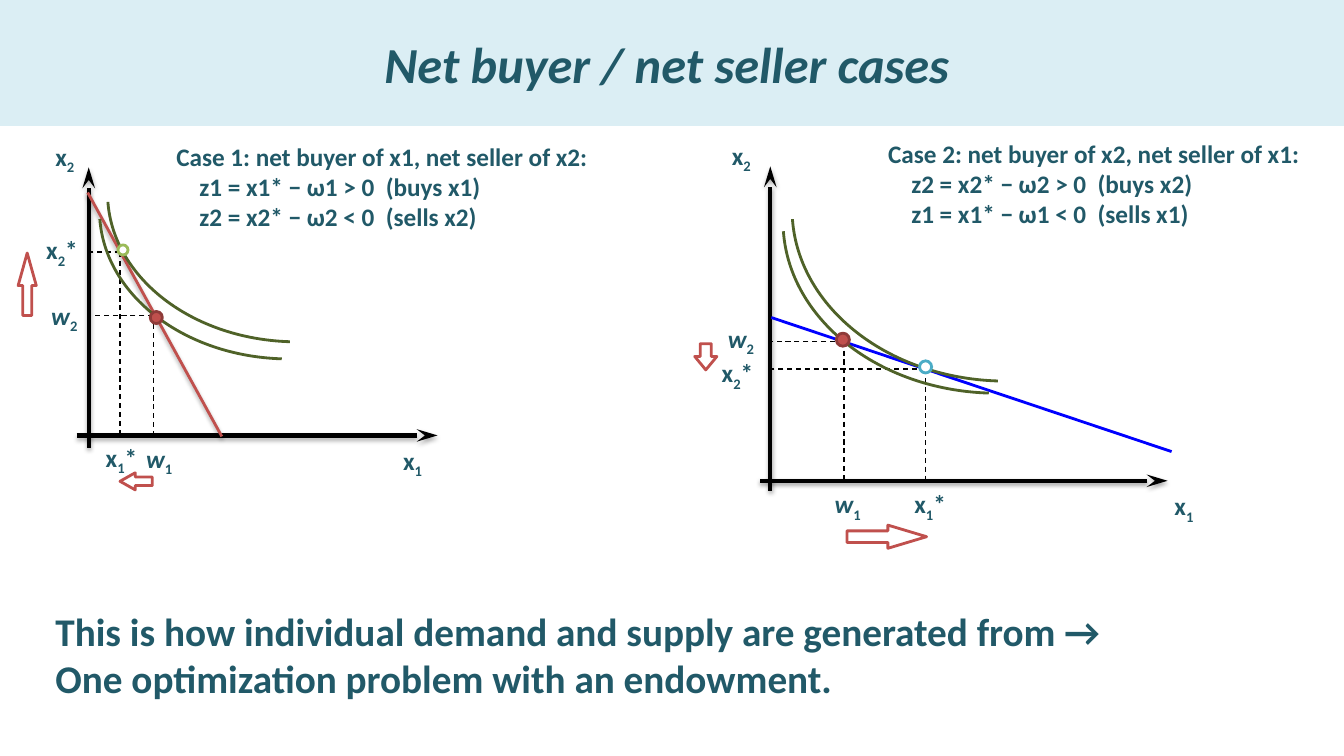
from lxml import etree
from pptx import Presentation
from pptx.dml.color import RGBColor
from pptx.enum.dml import MSO_LINE
from pptx.enum.shapes import MSO_CONNECTOR, MSO_SHAPE as SHAPE
from pptx.enum.text import MSO_ANCHOR, MSO_AUTO_SIZE, PP_ALIGN
from pptx.oxml import parse_xml
from pptx.oxml.ns import nsdecls, qn
from pptx.util import Inches, Pt

rgb = RGBColor.from_string
TEAL, RED, DARK_RED, OLIVE = "215968", "C0504D", "8E3B39", "4F6228"
WHITE, BLACK = "FFFFFF", "000000"
SHADOW = (
    f'<a:effectLst {nsdecls("a")}><a:outerShdw blurRad="40000" dist="23000" dir="5400000" rotWithShape="0">'
    '<a:srgbClr val="000000"><a:alpha val="35000"/></a:srgbClr></a:outerShdw></a:effectLst>'
)
# Start, two control points and end of a curve, as shares of its width and height
CURVE_SHARES = [(0, 0.05), (0.03, 0.57), (0.45, 0.98), (0.97, 1)]
LABEL_WIDTHS = {"x": 0.4, "w": 0.48, "x*": 0.53}


def draw_line(start, end, color, weight, dashed=False, arrow=False, shadow=False):
    """Draw a straight line between two (x, y) points given in inches."""
    line = slide.shapes.add_connector(MSO_CONNECTOR.STRAIGHT, *map(Inches, start + end))
    line.line.color.rgb = rgb(color)
    line.line.width = Pt(weight)
    if dashed:
        line.line.dash_style = MSO_LINE.DASH
    properties = line._element.spPr
    if arrow:
        etree.SubElement(properties.find(qn("a:ln")), qn("a:tailEnd"), type="stealth", w="med", len="lg")
    if shadow:
        properties.append(parse_xml(SHADOW))
    else:
        etree.SubElement(properties, qn("a:effectLst"))


def add_run(paragraph, text, size, italic=False, subscript=False):
    run = paragraph.add_run()
    run.text = text
    font = run.font
    font.name, font.size, font.bold, font.italic = "Calibri", Pt(size), True, italic
    font.color.rgb = rgb(TEAL)
    if subscript:
        font._element.set("baseline", "-25000")


cases = [
    dict(
        origin=(0.88, 4.32), top=1.66, right=4.34, overshoot=0.12,
        budget=((0.87, 1.91), (2.2, 4.33), RED, True),
        guides=[(1.52, 3.13), (1.19, 2.5)],
        curves=[(0.99, 2.1), (1.07, 1.93)], curve_size=(1.86, 1.46),
        labels=[("x", "2", "", 0.45, 1.35), ("x", "1", "", 3.9, 4.37),
                ("w", "1", "", 1.35, 4.35), ("w", "2", "", 0.41, 2.93),
                ("x", "2", "*", 0.36, 2.28), ("x", "1", "*", 0.95, 4.34)],
        arrows=[(SHAPE.UP_ARROW, 0.18, 2.51, 0.18, 0.62, 1.796),
                (SHAPE.LEFT_ARROW, 1.19, 4.69, 0.32, 0.17, 0.89)],
        dots=[(1.22, 2.48, 0.1, WHITE, "9BBB59"), (1.55, 3.15, 0.12, RED, DARK_RED)],
        notes_at=(1.65, 1.35),
        notes=["Case 1: net buyer of x1, net seller of x2:",
               "z1 = x1* − ω1 > 0  (buys x1)", "z2 = x2* − ω2 < 0  (sells x2)"],
    ),
    dict(
        origin=(7.64, 4.77), top=1.65, right=11.58, overshoot=0.1,
        budget=((7.65, 3.15), (11.62, 4.48), "0000FF", False),
        guides=[(8.37, 3.39), (9.18, 3.66)],
        curves=[(7.77, 2.21), (7.86, 2.09)], curve_size=(2.1, 1.69),
        labels=[("x", "2", "", 7.16, 1.34), ("x", "1", "", 11.55, 4.82),
                ("w", "1", "", 8.18, 4.8), ("w", "2", "", 7.12, 3.16),
                ("x", "2", "*", 7.06, 3.5), ("x", "1", "*", 8.97, 4.8)],
        arrows=[(SHAPE.DOWN_ARROW, 6.89, 3.41, 0.22, 0.26, 0.604),
                (SHAPE.RIGHT_ARROW, 8.4, 5.21, 0.79, 0.23, 1.669)],
        dots=[(8.36, 3.37, 0.13, RED, DARK_RED), (9.18, 3.64, 0.12, WHITE, "4BACC6")],
        notes_at=(8.71, 1.32),
        notes=["Case 2: net buyer of x2, net seller of x1:",
               "z2 = x2* − ω2 > 0  (buys x2)", "z1 = x1* − ω1 < 0  (sells x1)"],
    ),
]

prs = Presentation()
prs.slide_width, prs.slide_height = Inches(13.33), Inches(7.5)
slide = prs.slides.add_slide(prs.slide_layouts[1])

# Title band
title = slide.shapes.title
title.left, title.top, title.width, title.height = 0, 0, prs.slide_width, Inches(1.25)
title.fill.solid()
title.fill.fore_color.rgb = rgb("DBEEF4")
title.text_frame.auto_size = MSO_AUTO_SIZE.NONE
title.text_frame.vertical_anchor = MSO_ANCHOR.MIDDLE
title.text_frame.margin_right = Inches(0.2)
heading = title.text_frame.paragraphs[0]
heading.alignment = PP_ALIGN.CENTER
add_run(heading, "Net buyer / net seller cases", 36, italic=True)

# One diagram per case
for case in cases:
    axis_x, axis_y = case["origin"]
    overshoot = case["overshoot"]
    axis_style = dict(arrow=True, shadow=True)
    draw_line((axis_x, axis_y + overshoot), (axis_x, case["top"]), BLACK, 3, **axis_style)
    draw_line((axis_x - overshoot, axis_y), (case["right"], axis_y), BLACK, 3, **axis_style)

    start, end, color, shadow = case["budget"]
    draw_line(start, end, color, 2, shadow=shadow)

    for x, y in case["guides"]:
        draw_line((x, y), (x, axis_y), BLACK, 0.9, dashed=True)
        draw_line((x, y), (axis_x, y), BLACK, 0.9, dashed=True)

    width, height = case["curve_size"]
    for left, top in case["curves"]:
        points = [(Inches(left + width * across), Inches(top + height * down)) for across, down in CURVE_SHARES]
        builder = slide.shapes.build_freeform(*points[0])
        builder.add_line_segments(points[1:], close=False)
        indifference_curve = builder.convert_to_shape()
        # Turn the three straight segments into one Bézier segment
        segments = list(indifference_curve._element.iter(qn("a:lnTo")))
        bezier = etree.SubElement(segments[0].getparent(), qn("a:cubicBezTo"))
        for segment in segments:
            bezier.append(segment[0])
            segment.getparent().remove(segment)
        indifference_curve.shadow.inherit = False
        indifference_curve.fill.background()
        indifference_curve.line.color.rgb = rgb(OLIVE)
        indifference_curve.line.width = Pt(2)

    for symbol, index, star, x, y in case["labels"]:
        label_width = LABEL_WIDTHS[symbol + star]
        label = slide.shapes.add_textbox(*map(Inches, (x, y, label_width, 0.4)))
        label.text_frame.word_wrap = False
        label.text_frame.auto_size = MSO_AUTO_SIZE.SHAPE_TO_FIT_TEXT
        quantity = label.text_frame.paragraphs[0]
        quantity.alignment = PP_ALIGN.JUSTIFY
        add_run(quantity, symbol, 18, italic=symbol == "w")
        add_run(quantity, index, 18, subscript=True)
        if star:
            add_run(quantity, star, 18)

    markers = [(preset, x, y, w, h, WHITE, RED, head) for preset, x, y, w, h, head in case["arrows"]]
    markers += [(SHAPE.OVAL, x - size / 2, y - size / 2, size, size, fill, edge, None)
                for x, y, size, fill, edge in case["dots"]]
    for preset, x, y, w, h, fill, edge, head in markers:
        marker = slide.shapes.add_shape(preset, *map(Inches, (x, y, w, h)))
        marker.shadow.inherit = False
        marker.fill.solid()
        marker.fill.fore_color.rgb = rgb(fill)
        marker.line.color.rgb = rgb(edge)
        marker.line.width = Pt(2)
        if head:
            marker.adjustments[0] = 0.5
            marker.adjustments[1] = head

    x, y = case["notes_at"]
    explanation = slide.shapes.add_textbox(Inches(x), Inches(y), Inches(4.45), Inches(1.01)).text_frame
    explanation.word_wrap = True
    for number, text in enumerate(case["notes"]):
        row = explanation.add_paragraph() if number else explanation.paragraphs[0]
        row.alignment = PP_ALIGN.JUSTIFY
        if number:
            row._p.get_or_add_pPr().set("marL", str(Inches(0.23)))
        add_run(row, text, 18)

# Conclusion
conclusion = slide.placeholders[1]
conclusion.left, conclusion.top = Inches(0.45), Inches(5.97)
conclusion.width, conclusion.height = Inches(12.14), Inches(1.04)
conclusion.text_frame.auto_size = MSO_AUTO_SIZE.NONE
for number, text in enumerate([
    "This is how individual demand and supply are generated from →",
    "One optimization problem with an endowment.",
]):
    row = conclusion.text_frame.add_paragraph() if number else conclusion.text_frame.paragraphs[0]
    row_properties = row._p.get_or_add_pPr()
    row_properties.set("marL", "0")
    row_properties.set("indent", "0")
    etree.SubElement(row_properties, qn("a:buNone"))
    row.alignment = PP_ALIGN.JUSTIFY
    row.space_before = Pt(0)
    add_run(row, text, 28)

prs.save("out.pptx")
